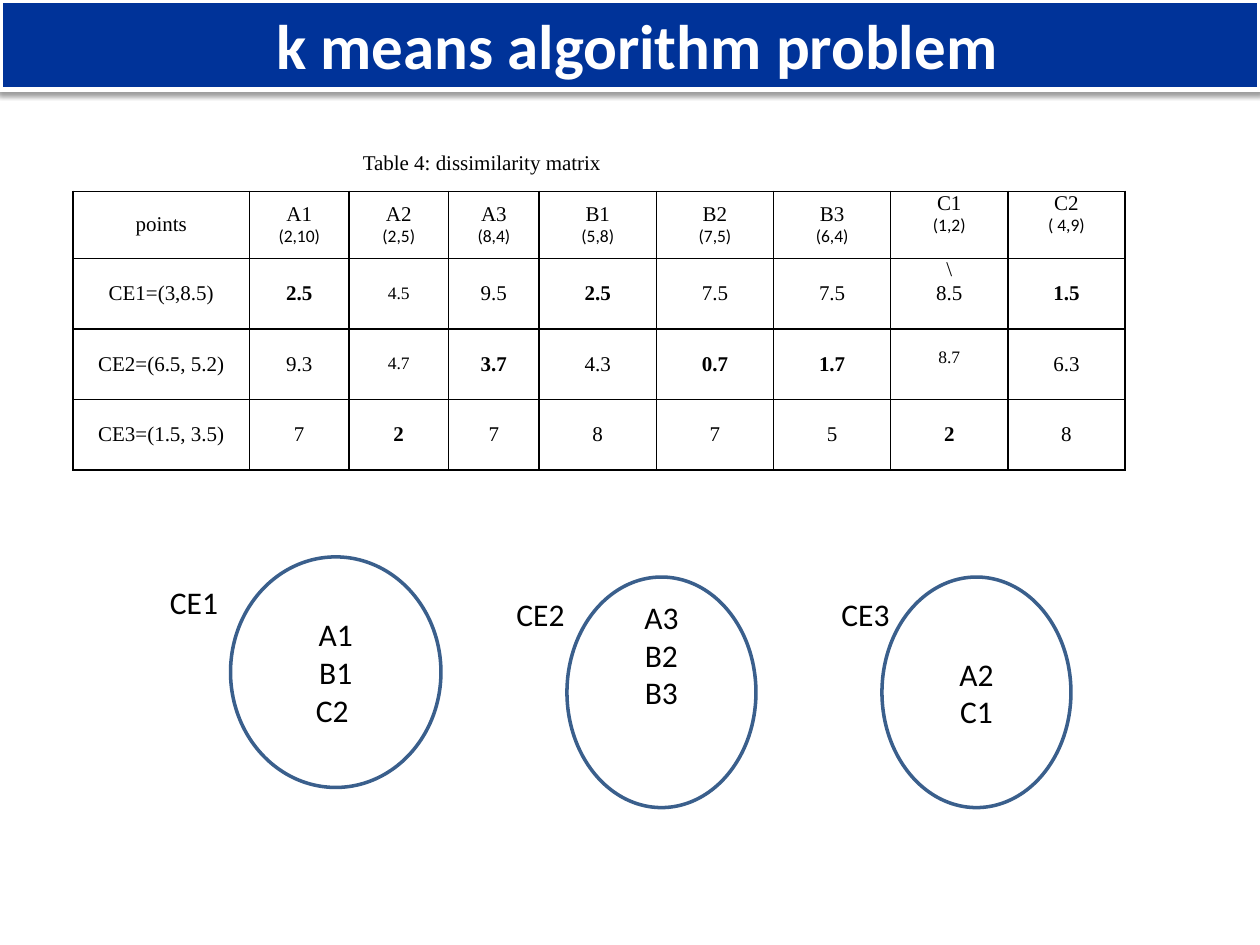
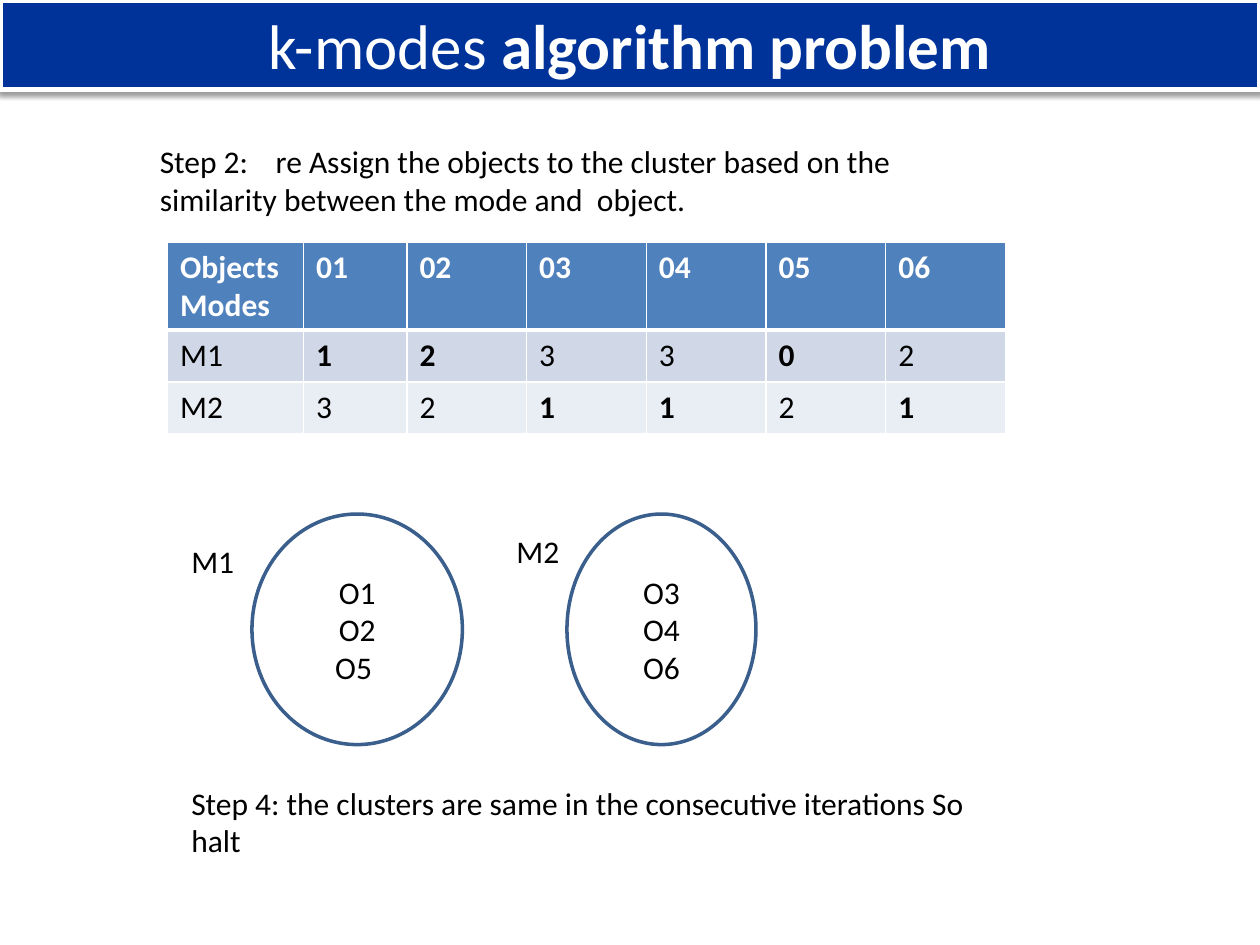
from dataclasses import dataclass
from typing import NamedTuple

from lxml import etree
from pptx import Presentation
from pptx import util as u
from pptx.dml.color import RGBColor
from pptx.enum import shapes, text
from pptx.oxml import parse_xml
from pptx.oxml.ns import nsdecls, qn

HUES = {
    "band": "003399", "white": "FFFFFF", "ink": "000000", "ring": "3A5F8C",
    "head": "4F81BD", "odd": "D0D8E8", "even": "E9EDF4",
}
SANS, SERIF = "Calibri", "Times New Roman"
MID, TOP = text.MSO_ANCHOR.MIDDLE, text.MSO_ANCHOR.TOP
LEFT, CENTER = text.PP_ALIGN.LEFT, text.PP_ALIGN.CENTER


class Box(NamedTuple):
    x: float
    y: float
    w: float
    h: float

    def place(self) -> list:
        return [u.Inches(n) for n in self]


@dataclass
class Font:
    size: float = 18
    face: str = SANS
    hue: str = "ink"
    bold: bool = False


@dataclass
class Group:
    name: str
    tag: Box
    oval: Box
    items: str
    lift: float = 0  # extra bottom inset that raises the items


def rgb(key: str) -> RGBColor:
    return RGBColor.from_string(HUES[key])


def style(run, font: Font) -> None:
    run.font.size = u.Pt(font.size)
    run.font.name = font.face
    run.font.bold = font.bold
    run.font.color.rgb = rgb(font.hue)


def write(frame, words: str, font: Font, align=LEFT) -> None:
    frame.text = words
    for para in frame.paragraphs:
        para.alignment = align
        for run in para.runs:
            style(run, font)


def add_title(slide, parts: list[tuple[str, bool]]) -> None:
    """Fill the title placeholder as a blue band; parts are (words, bold)."""
    band = slide.shapes.title
    band.left, band.top, band.width, band.height = Box(0, 0, 10, 0.71).place()
    band.fill.solid()
    band.fill.fore_color.rgb = rgb("band")
    band.line.color.rgb = rgb("white")
    band.line.width = u.Pt(3)
    band._element.spPr.append(parse_xml(
        f'<a:effectLst {nsdecls("a")}><a:outerShdw blurRad="40000" dist="20000" '
        f'dir="5400000" rotWithShape="0"><a:srgbClr val="{HUES["ink"]}">'
        '<a:alpha val="38000"/></a:srgbClr></a:outerShdw></a:effectLst>'))
    frame = band.text_frame
    frame.auto_size = text.MSO_AUTO_SIZE.NONE
    frame.vertical_anchor = TOP
    para = frame.paragraphs[0]
    para.alignment = CENTER
    for words, bold in parts:
        run = para.add_run()
        run.text = words
        style(run, Font(36, hue="white", bold=bold))


def add_note(host, box: Box, words: str):
    note = host.shapes.add_textbox(*box.place())
    note.text_frame.word_wrap = True
    write(note.text_frame, words, Font())
    return note


def set_tab(para, stop: float) -> None:
    tabs = etree.SubElement(para._p.get_or_add_pPr(), qn("a:tabLst"))
    etree.SubElement(tabs, qn("a:tab"), pos=str(u.Inches(stop)), algn="l")


def add_group(slide, group: Group) -> None:
    """Draw a labelled oval that lists the members of one cluster."""
    host = slide.shapes.add_group_shape()
    oval = host.shapes.add_shape(shapes.MSO_SHAPE.OVAL, *group.oval.place())
    oval.shadow.inherit = False
    oval.fill.background()
    oval.line.color.rgb = rgb("ring")
    oval.line.width = u.Pt(2)
    frame = oval.text_frame
    frame.vertical_anchor = MID
    frame.margin_bottom = u.Inches(0.05 + group.lift)
    write(frame, group.items, Font(), CENTER)
    add_note(host, group.tag, group.name).text_frame.margin_right = 0


def set_edges(cell, hue: str, sides: dict[str, float]) -> None:
    """Draw cell borders; sides maps L, R, T, B (in that order) to points."""
    props = cell._tc.get_or_add_tcPr()
    for side, width in sides.items():
        props.append(parse_xml(
            f'<a:ln{side} {nsdecls("a")} w="{u.Pt(width)}"><a:solidFill>'
            f'<a:srgbClr val="{HUES[hue]}"/></a:solidFill></a:ln{side}>'))


def add_grid(slide, box: Box, cols: list[float], rows: list[float]):
    grid = slide.shapes.add_table(len(rows), len(cols), *box.place()).table
    grid.first_row = grid.horz_banding = False
    for col, width in zip(grid.columns, cols):
        col.width = u.Inches(width)
    for row, height in zip(grid.rows, rows):
        row.height = u.Inches(height)
    return grid


def fill_cell(cell, words: str, font: Font, align=LEFT) -> None:
    """Write a cell; a leading * makes it bold."""
    if words.startswith("*"):
        font = Font(font.size, font.face, font.hue, True)
    write(cell.text_frame, words.lstrip("*"), font, align)


def add_matrix(slide) -> None:
    """Distance table with its caption as a borderless top row."""
    body = [
        ["points", "A1\n(2,10)", "A2\n(2,5)", "A3\n(8,4)", "B1\n(5,8)",
         "B2\n(7,5)", "B3\n(6,4)", "C1\n(1,2)", "C2\n( 4,9)"],
        ["CE1=(3,8.5)", "*2.5", "4.5", "9.5", "*2.5", "7.5", "7.5", "\\\n8.5", "*1.5"],
        ["CE2=(6.5, 5.2)", "9.3", "4.7", "*3.7", "4.3", "*0.7", "*1.7", "8.7", "6.3"],
        ["CE3=(1.5, 3.5)", "7", "*2", "7", "8", "7", "5", "*2", "8"],
    ]
    small = {"4.5", "4.7", "8.7"}
    high = {"C1\n(1,2)", "C2\n( 4,9)", "\\\n8.5"}
    cols = [1.4, 0.79, 0.79, 0.72] + [0.93] * 5
    grid = add_grid(slide, Box(0.58, 1.08, 8.33, 2.64), cols,
                    [0.44, 0.53] + [0.56] * 3)
    caption = ["Table 4: dissimilarity matrix"] + [""] * 8
    for r, line in enumerate([caption] + body):
        for c, words in enumerate(line):
            cell = grid.cell(r, c)
            set_edges(cell, "ink", dict.fromkeys("LRTB" if r else "B", 1))
            cell.fill.background()
            cell.margin_left = cell.margin_right = u.Inches(0.07)
            cell.margin_top = cell.margin_bottom = 0
            cell.vertical_anchor = TOP if words in high else MID
            fill_cell(cell, words, Font(10 if words in small else 12, SERIF), CENTER)
            if r == 1 and c:
                style(cell.text_frame.paragraphs[1].runs[0], Font(10))
            if words == "8.7":
                cell.margin_bottom = u.Inches(0.11)
    grid.cell(0, 0).merge(grid.cell(0, 6))


def add_modes(slide) -> None:
    """Mismatch counts between objects and modes."""
    body = [
        ["Objects\nModes", "01", "02", "03", "04", "05", "06"],
        ["M1", "*1", "*2", "3", "3", "*0", "2"],
        ["M2", "3", "2", "*1", "*1", "2", "*1"],
    ]
    looks = [("head", Font(hue="white", bold=True)), ("odd", Font()), ("even", Font())]
    grid = add_grid(slide, Box(1.33, 1.92, 6.65, 1.51),
                    [1.08, 0.82] + [0.95] * 5, [0.69, 0.41, 0.41])
    for r, (line, (back, font)) in enumerate(zip(body, looks)):
        edges = {"L": 1, "R": 1, "T": 3 if r == 1 else 1, "B": 1 if r else 3}
        for c, words in enumerate(line):
            cell = grid.cell(r, c)
            set_edges(cell, "white", edges)
            cell.fill.solid()
            cell.fill.fore_color.rgb = rgb(back)
            fill_cell(cell, words, font)


def add_means_slide(deck) -> None:
    slide = deck.slides.add_slide(deck.slide_layouts[5])
    add_title(slide, [(" k means algorithm problem", True)])
    add_matrix(slide)
    for group in [
        Group("CE1", Box(1.25, 4.58, 0.58, 0.4), Box(1.83, 4.42, 1.67, 1.83),
              "A1\nB1\nC2 "),
        Group("CE2", Box(4, 4.67, 0.58, 0.4), Box(4.5, 4.58, 1.5, 1.83),
              "A3\nB2\nB3", 0.6),
        Group("CE3", Box(6.58, 4.67, 0.58, 0.4), Box(7, 4.58, 1.5, 1.83), "A2\nC1"),
    ]:
        add_group(slide, group)


def add_modes_slide(deck) -> None:
    slide = deck.slides.add_slide(deck.slide_layouts[5])
    add_title(slide, [(" ", True), ("k-modes ", False), ("algorithm problem ", True)])
    for group in [
        Group("M1", Box(1.42, 4.25, 0.58, 0.4), Box(2, 4.08, 1.67, 1.83),
              "O1\nO2\nO5 "),
        Group("M2", Box(4, 4.17, 0.58, 0.4), Box(4.5, 4.08, 1.5, 1.83),
              "O3\nO4\nO6"),
    ]:
        add_group(slide, group)
    step = add_note(slide, Box(1.17, 1.08, 6.5, 0.71),
                    "Step 2:\tre Assign the objects to the cluster based on the "
                    "similarity between the mode and  object.")
    set_tab(step.text_frame.paragraphs[0], 0.92)
    add_modes(slide)
    add_note(slide, Box(1.42, 6.17, 6.5, 0.71),
             "Step 4: the clusters are same in the consecutive iterations So halt")


def main() -> None:
    deck = Presentation()
    deck.slide_width, deck.slide_height = u.Inches(10), u.Inches(7.5)
    add_means_slide(deck)
    add_modes_slide(deck)
    deck.save("out.pptx")


if __name__ == "__main__":
    main()
